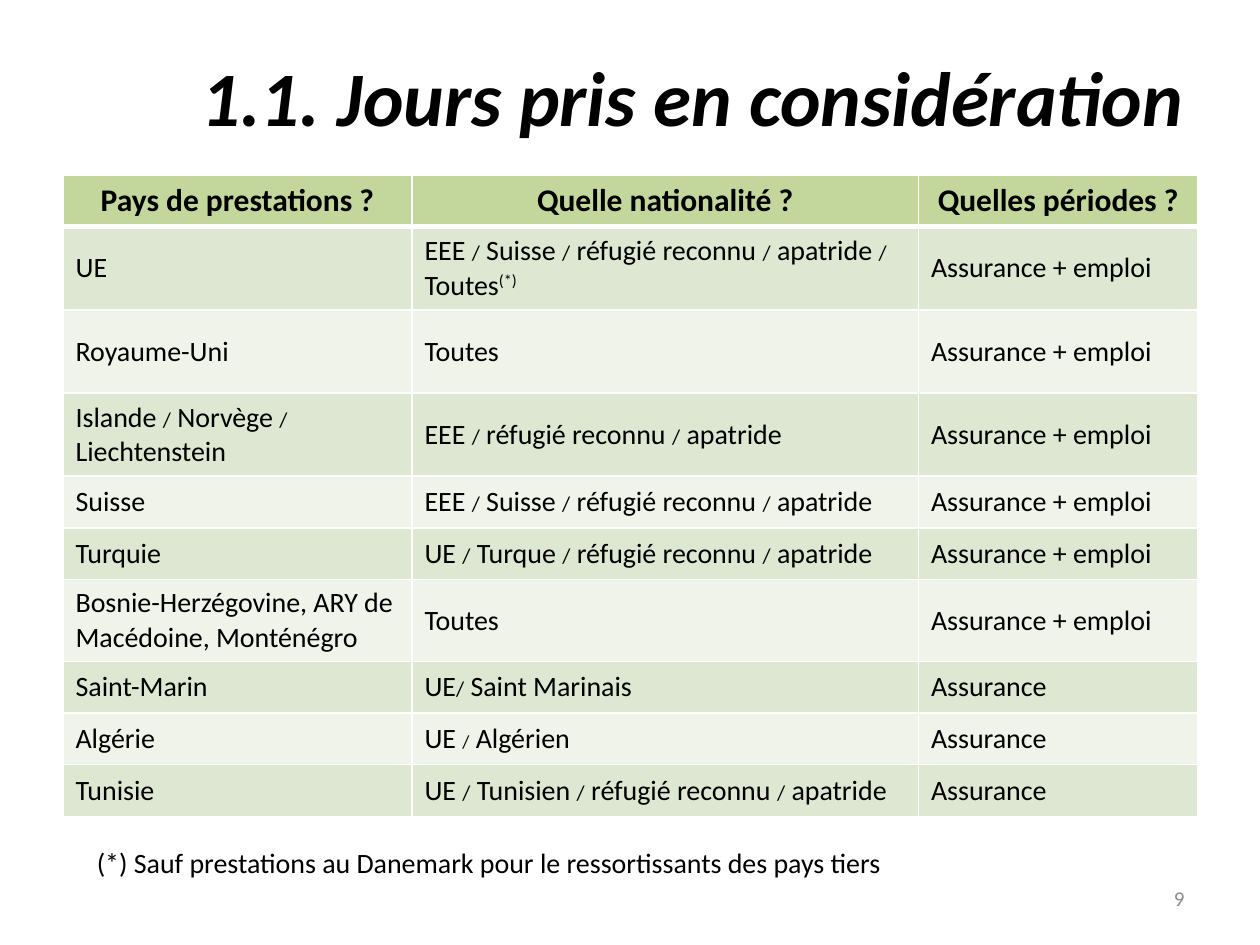
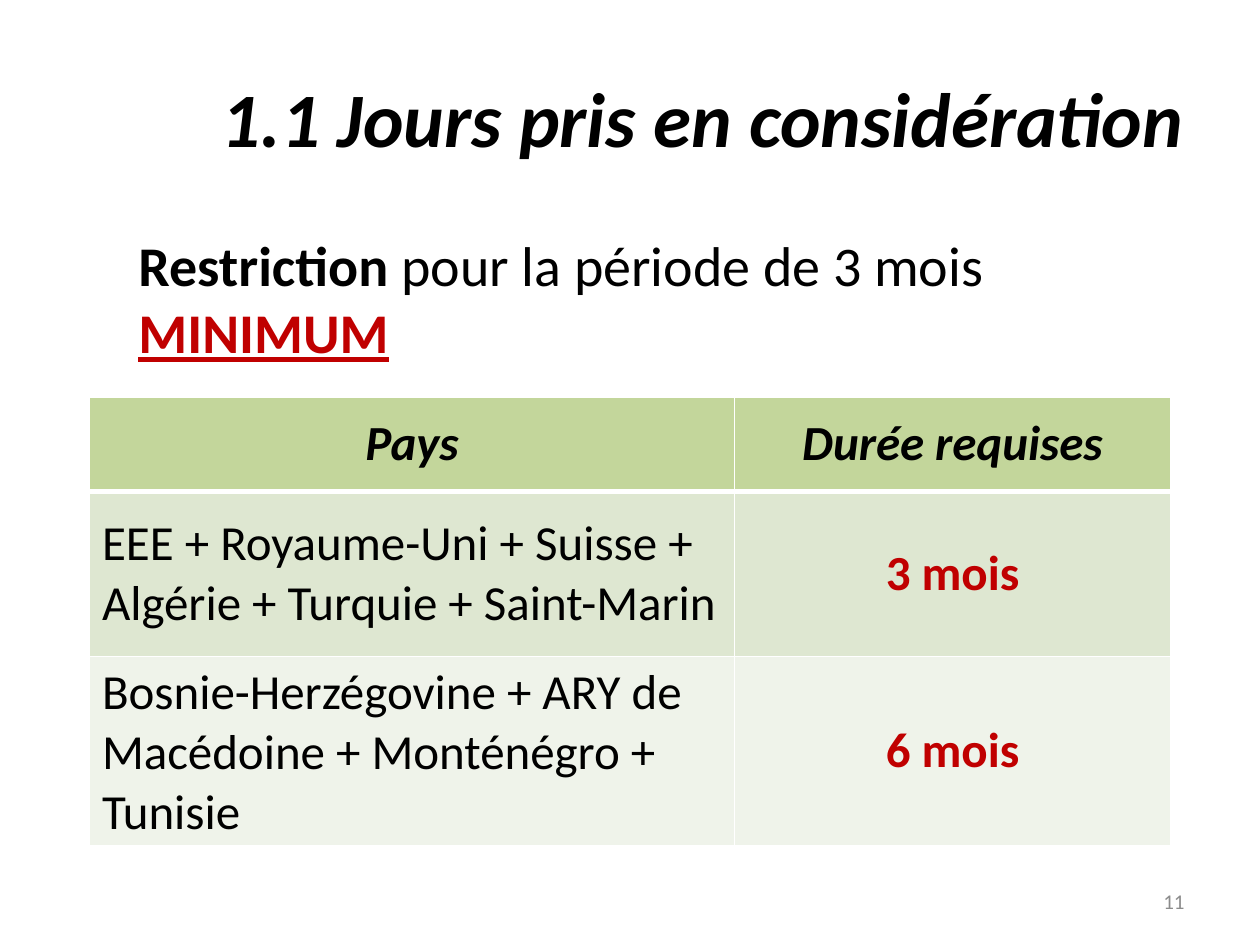
from lxml import etree
from pptx import Presentation
from pptx.dml.color import RGBColor
from pptx.enum.text import MSO_ANCHOR, PP_ALIGN
from pptx.oxml.ns import qn
from pptx.util import Inches, Pt

LEFT, MID, RIGHT = PP_ALIGN.LEFT, PP_ALIGN.CENTER, PP_ALIGN.RIGHT
TOP, MIDDLE = MSO_ANCHOR.TOP, MSO_ANCHOR.MIDDLE

BLACK = RGBColor(0x00, 0x00, 0x00)
RED = RGBColor(0xC0, 0x00, 0x00)
GREY = RGBColor(0x8C, 0x8C, 0x8C)
HEAD = RGBColor(0xC3, 0xD6, 0x9B)
BANDS = [RGBColor(0xDE, 0xE7, 0xD1), RGBColor(0xEF, 0xF3, 0xEA)]
RULE = "FFFFFF"

# Shared text styles
BASE = dict(name="Calibri", color=BLACK, bold=False, italic=False)
TITLE = dict(size=Pt(44), bold=True, italic=True)
PAGE = dict(size=Pt(12), color=GREY)
KEY = dict(color=RED, bold=True)
MARKS = {"/": dict(size=Pt(12)), "(*)": dict(raised=True)}


def write(frame, parts, look, align=LEFT, anchor=TOP):
    """Fill the frame with one paragraph of (text, format) runs."""
    frame.word_wrap = True
    frame.vertical_anchor = anchor
    para = frame.paragraphs[0]
    para.alignment = align
    for text, extra in parts:
        run = para.add_run()
        run.text = text
        for key, value in {**BASE, **look, **extra}.items():
            if key == "color":
                run.font.color.rgb = value
            elif key == "raised":
                run.font._element.set("baseline", "30000")
            else:
                setattr(run.font, key, value)
    return para


def grid(slide, left, top, cols, highs, rows, head, body, anchor, last):
    """Draw a banded table; last is the (format, alignment) of the end column."""
    shape = slide.shapes.add_table(len(rows), len(cols), Inches(left), Inches(top),
                                   Inches(sum(cols)), Inches(sum(highs)))
    table = shape.table
    for col, wide in zip(table.columns, cols):
        col.width = Inches(wide)
    for r, (row, high) in enumerate(zip(rows, highs)):
        table.rows[r].height = Inches(high)
        for c, text in enumerate(row):
            cell = table.cell(r, c)
            cell.fill.solid()
            cell.fill.fore_color.rgb = BANDS[(r - 1) % 2] if r else HEAD

            # Runs: marks get their own format
            parts = text
            if isinstance(text, str):
                for mark in MARKS:
                    text = text.replace(mark, f"|{mark}|")
                parts = [(bit, MARKS.get(bit, {})) for bit in text.split("|") if bit]
            look, align = body, LEFT
            if r == 0:
                look, align = head, MID
            elif c == len(cols) - 1:
                look, align = {**body, **last[0]}, last[1]
            write(cell.text_frame, parts, look, align)
            cell.vertical_anchor = MIDDLE if r else anchor

            # White rules, thicker below the header
            props = cell._tc.get_or_add_tcPr()
            for i, side in enumerate(["lnL", "lnR", "lnT", "lnB"]):
                thick = (side == "lnB" and r == 0) or (side == "lnT" and r == 1)
                line = etree.Element(qn("a:" + side), w=str(Pt(3 if thick else 1)))
                fill = etree.SubElement(line, qn("a:solidFill"))
                etree.SubElement(fill, qn("a:srgbClr"), val=RULE)
                props.insert(i, line)


deck = Presentation()
deck.slide_width, deck.slide_height = Inches(10), Inches(7.5)

# Titles and page numbers
slides = []
for title, high, page, low in [
    ("1.1. Jours pris en considération", 0.92, "9", 6.93),
    ("1.1 Jours pris en considération", 1.25, "11", 6.95),
]:
    slide = deck.slides.add_slide(deck.slide_layouts[6])
    slides.append(slide)
    for text, box, look in [(title, (0.5, 0.3, 9, high), TITLE),
                            (page, (7.17, low, 2.33, 0.4), PAGE)]:
        shape = slide.shapes.add_textbox(*map(Inches, box))
        write(shape.text_frame, [(text, {})], look, RIGHT, MIDDLE)
days, limit = slides

# Slide 1: countries, nationalities and periods
BOTH, COVER = "Assurance + emploi", "Assurance"
rows = [
    ("Pays de prestations ?", "Quelle nationalité ?", "Quelles périodes ?"),
    ("UE", "EEE / Suisse / réfugié reconnu / apatride / Toutes(*)", BOTH),
    ("Royaume-Uni", "Toutes", BOTH),
    ("Islande / Norvège / Liechtenstein", "EEE / réfugié reconnu / apatride", BOTH),
    ("Suisse", "EEE / Suisse / réfugié reconnu / apatride", BOTH),
    ("Turquie", "UE / Turque / réfugié reconnu / apatride", BOTH),
    ("Bosnie-Herzégovine, ARY de Macédoine, Monténégro", "Toutes", BOTH),
    ("Saint-Marin", "UE/ Saint Marinais", COVER),
    ("Algérie", [("UE ", {}), ("/", dict(size=Pt(10.5))), (" Algérien", {})], COVER),
    ("Tunisie", "UE / Tunisien / réfugié reconnu / apatride", COVER),
]
highs = [0.41] + [0.66] * 3 + [0.41] * 2 + [0.65] + [0.41] * 3
grid(days, 0.5, 1.39, [2.77, 4.02, 2.22], highs, rows,
     dict(size=Pt(18), bold=True), dict(size=Pt(16)), TOP, ({}, LEFT))

# Slide 1: footnote
note = days.shapes.add_textbox(Inches(0.67), Inches(6.66), Inches(8.6), Inches(0.37))
write(note.text_frame,
      [("(*) Sauf prestations au Danemark pour le ressortissants des pays tiers", {})],
      dict(size=Pt(16)))

# Slide 2: restriction
rule = limit.shapes.add_textbox(Inches(0.5), Inches(1.78), Inches(9), Inches(1.25))
para = write(rule.text_frame,
             [("Restriction", dict(bold=True)), (" pour la période de 3 mois ", {}),
              ("MINIMUM", dict(KEY, underline=True))], dict(size=Pt(32)))
para._p.get_or_add_pPr().set("marL", str(Inches(0.5)))

# Slide 2: required length by country
rows = [
    ("Pays", "Durée requises"),
    ("EEE + Royaume-Uni + Suisse + Algérie + Turquie + Saint-Marin", "3 mois"),
    ("Bosnie-Herzégovine + ARY de Macédoine + Monténégro + Tunisie", "6 mois"),
]
grid(limit, 0.71, 3.15, [5.12, 3.46], [0.75, 1.31, 1.5], rows,
     dict(size=Pt(28), bold=True, italic=True), dict(size=Pt(28)), MIDDLE, (KEY, MID))

deck.save("out.pptx")
